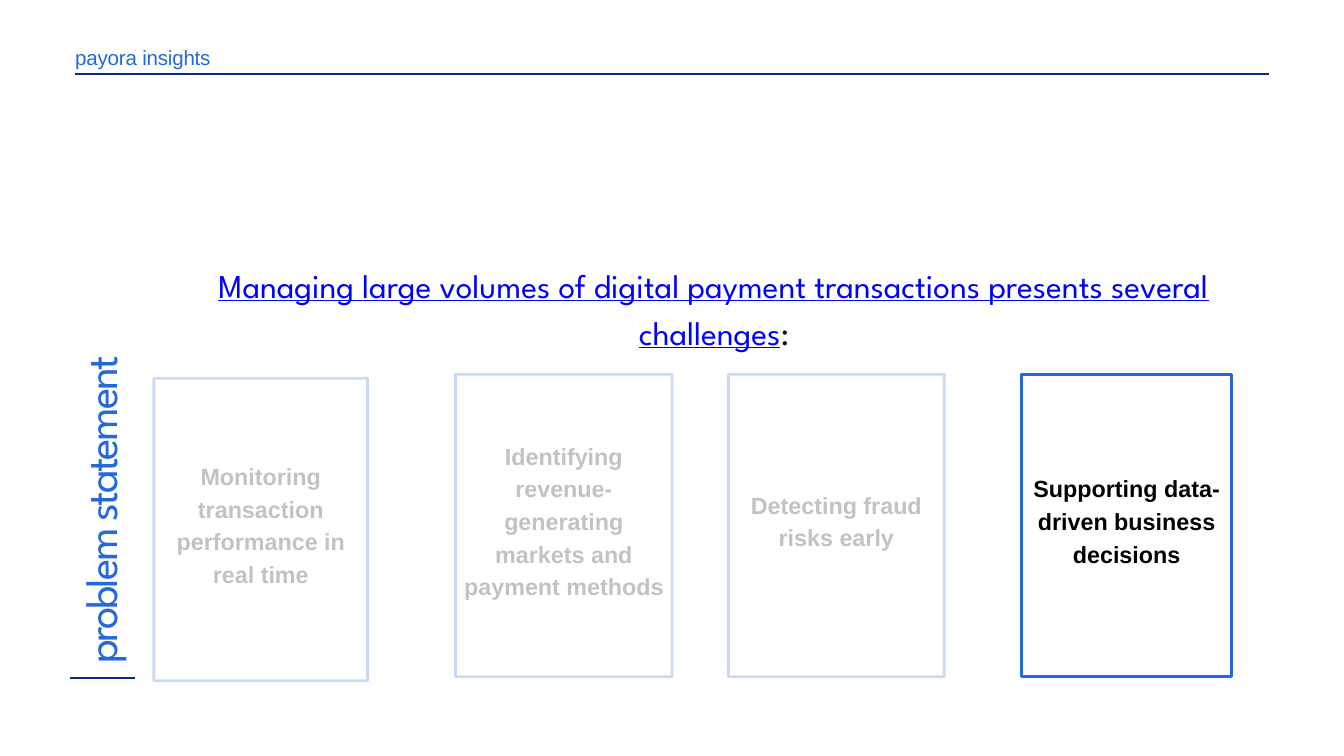
from lxml.etree import SubElement
from pptx import Presentation
from pptx.dml.color import RGBColor
from pptx.enum.shapes import MSO_CONNECTOR, MSO_SHAPE
from pptx.enum.text import MSO_ANCHOR, PP_ALIGN
from pptx.oxml.ns import qn
from pptx.util import Inches, Pt

COLORS = {
    "navy": "0C2B7F",
    "blue": "2468DB",
    "link": "0000FF",
    "ink": "0E0F13",
    "black": "000000",
}


def add_text(page, place, runs, font, size, leading, align=PP_ALIGN.LEFT, inset=0, spacing=0):
    box = page.shapes.add_textbox(*[Inches(value) for value in place])
    frame = box.text_frame
    frame.word_wrap = True
    frame.margin_left = frame.margin_right = Inches(inset)
    frame.margin_top = frame.margin_bottom = Inches(inset)
    para = frame.paragraphs[0]
    para.alignment = align
    para.line_spacing = Pt(leading)
    for text, color in runs:
        span = para.add_run()
        span.text = text
        span.font.name = font
        span.font.size = Pt(size)
        span.font.color.rgb = RGBColor.from_string(COLORS[color])
        if spacing:
            span.font._element.set("spc", str(spacing))
    return box


def fade(element, percent):
    for color in element.iter(qn("a:srgbClr")):
        SubElement(color, qn("a:alpha"), val=str(percent * 1000))


deck = Presentation()
deck.slide_width = Inches(20)
deck.slide_height = Inches(11.25)
page = deck.slides.add_slide(deck.slide_layouts[6])

for left, right, top in [(1.12, 18.88, 1.1), (1.04, 2.01, 10.09)]:
    rule = page.shapes.add_connector(
        MSO_CONNECTOR.STRAIGHT, Inches(left), Inches(top), Inches(right), Inches(top)
    )
    rule.line.color.rgb = RGBColor.from_string(COLORS["navy"])
    rule.line.width = Pt(3)
    SubElement(rule._element.spPr, qn("a:effectLst"))

add_text(page, (1.12, 0.57, 2.33, 0.42), [("payora insights", "blue")], "Arial", 22, 33, spacing=-20)
title = add_text(
    page, (-1.94, 6.02, 7.04, 0.67), [("problem statement", "blue")],
    "League Spartan", 48, 45.6, spacing=-240,
)
title.rotation = 270

cards = [
    ("Monitoring transaction performance in real time", 2.29, 5.63, 3.18, True),
    ("Identifying revenue-generating markets and payment methods", 6.78, 5.57, 3.22, True),
    ("Detecting fraud risks early", 10.84, 5.57, 3.21, True),
    ("Supporting data-driven business decisions", 15.2, 5.57, 3.13, False),
]
for text, left, top, width, faded in cards:
    card = page.shapes.add_shape(
        MSO_SHAPE.RECTANGLE, Inches(left), Inches(top), Inches(width), Inches(4.5)
    )
    card.shadow.inherit = False
    card.fill.background()
    card.line.color.rgb = RGBColor.from_string(COLORS["blue"])
    card.line.width = Pt(3)
    label = add_text(
        page, (left, top - 0.2, width, 4.7), [(text, "black")],
        "Arial", 25, 35, PP_ALIGN.CENTER, inset=0.06,
    )
    label.text_frame.vertical_anchor = MSO_ANCHOR.MIDDLE
    label.text_frame.paragraphs[0].runs[0].font.bold = True
    if faded:
        fade(card._element, 24)
        fade(label._element, 24)

statement = "Managing large volumes of digital payment transactions presents several challenges"
heading = add_text(
    page, (2.29, 3.85, 16.67, 1.34), [(statement, "link"), (":", "ink")],
    "League Spartan", 35.6, 49.9, PP_ALIGN.CENTER,
)
heading.text_frame.paragraphs[0].runs[0].font.underline = True

deck.save("out.pptx")
